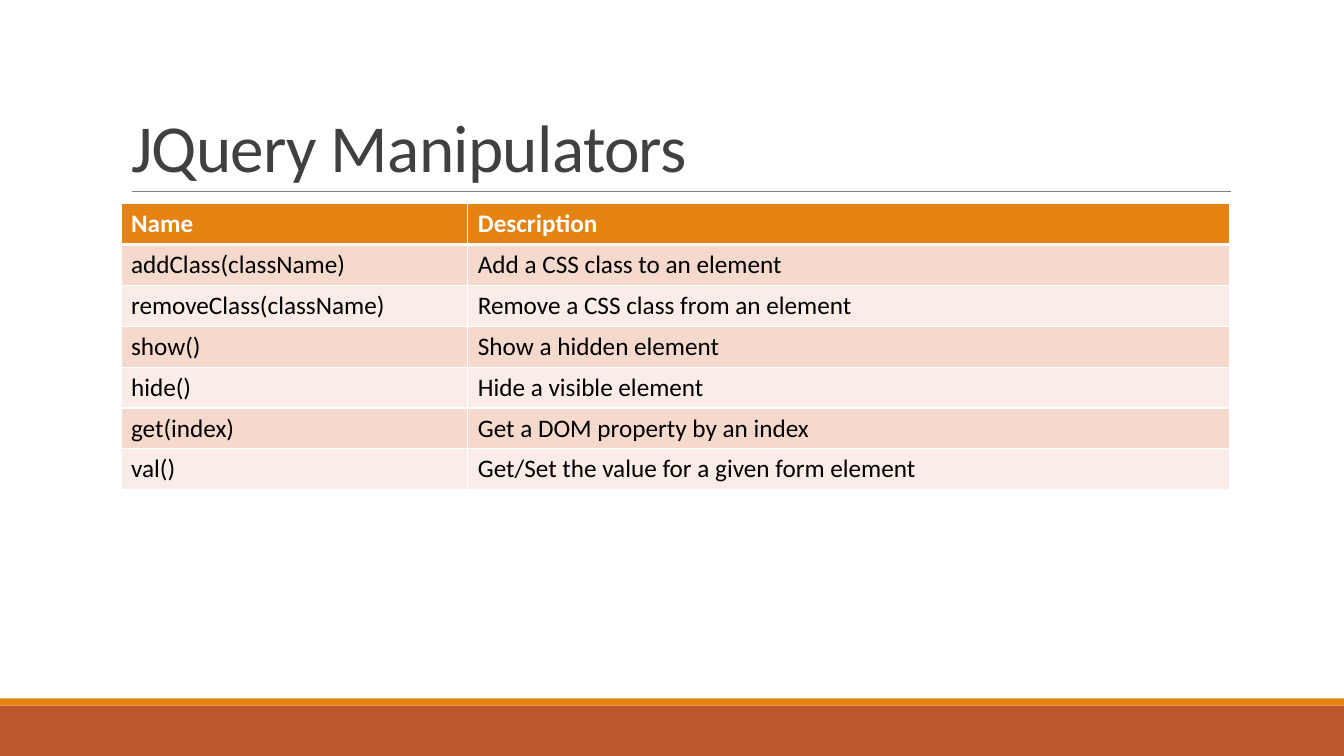
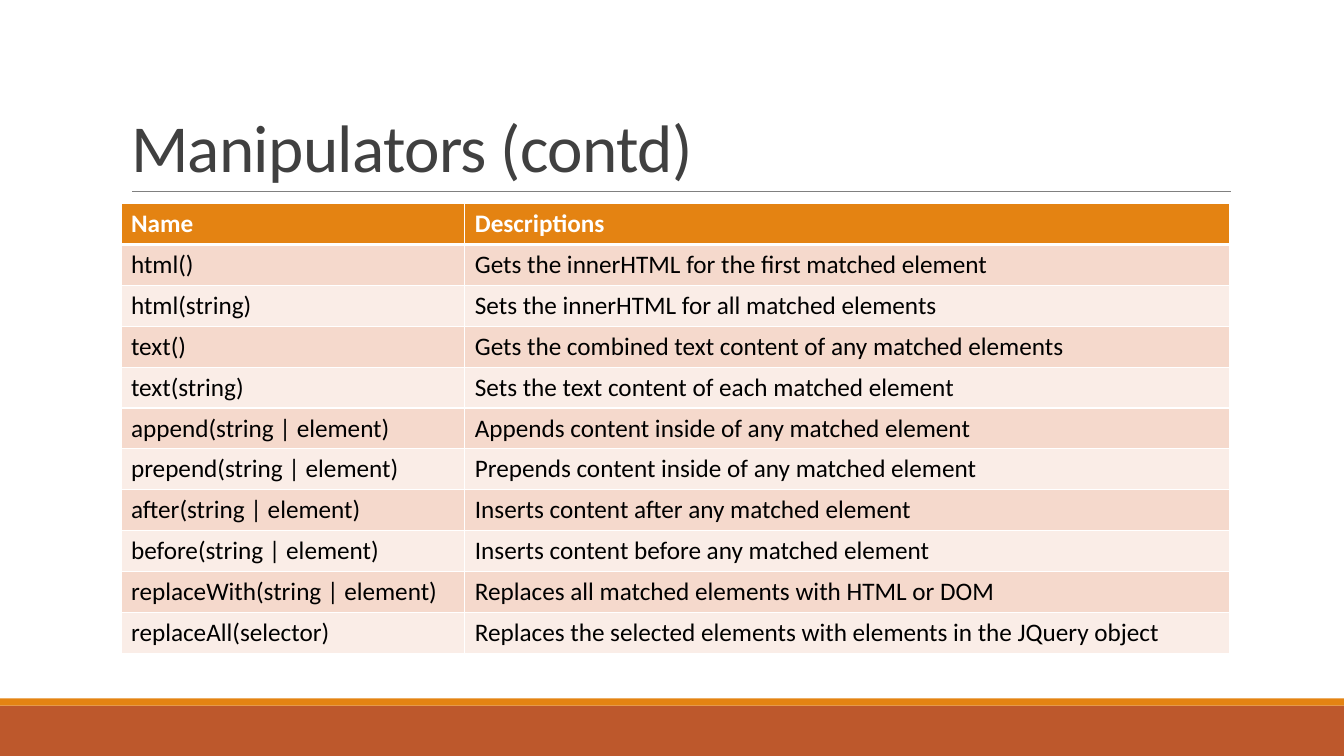
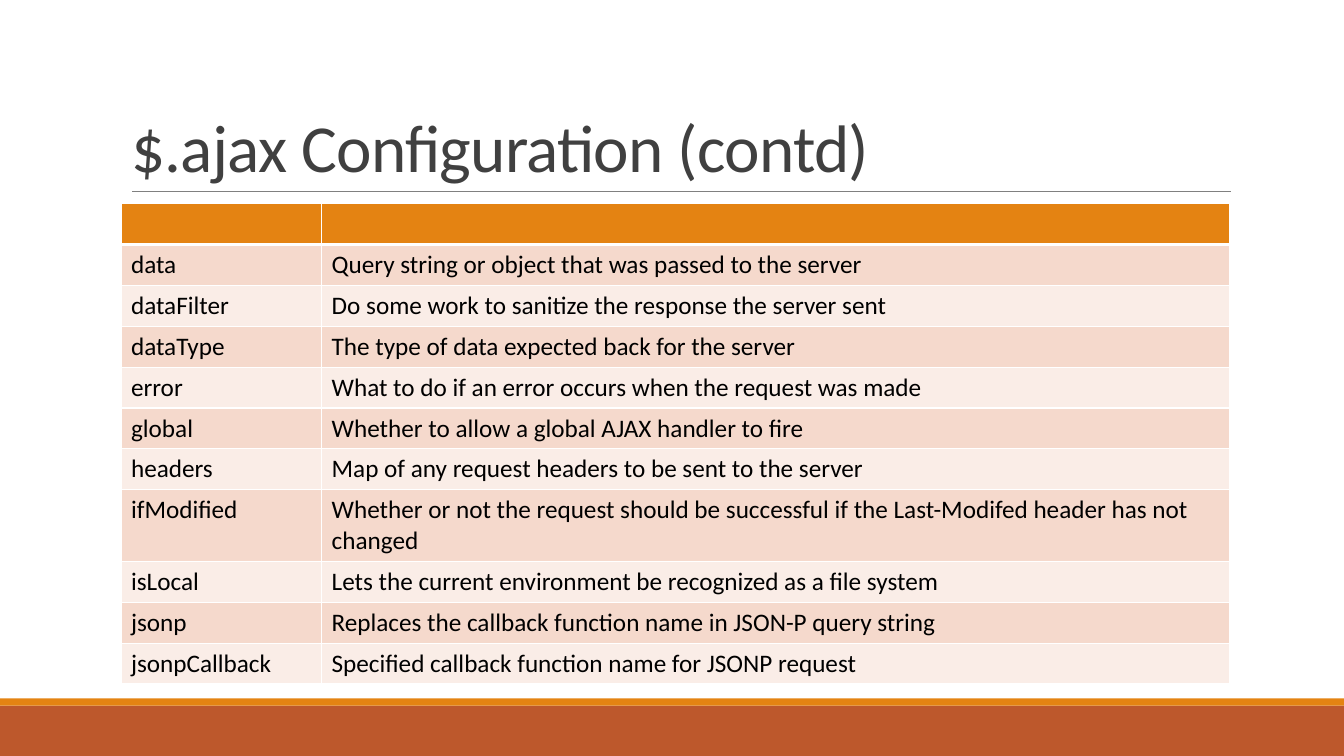
from dataclasses import dataclass

from lxml import etree
from pptx import Presentation
from pptx.dml.color import RGBColor
from pptx.enum.shapes import MSO_CONNECTOR, MSO_SHAPE
from pptx.enum.text import MSO_ANCHOR, MSO_AUTO_SIZE, PP_ALIGN
from pptx.oxml.ns import qn
from pptx.util import Inches, Pt

STRAIGHT = MSO_CONNECTOR.STRAIGHT
RECTANGLE = MSO_SHAPE.RECTANGLE
BOTTOM = MSO_ANCHOR.BOTTOM
NO_AUTOFIT = MSO_AUTO_SIZE.NONE
LEFT = PP_ALIGN.LEFT

# title, name column width in inches, header, rows
SLIDES = [
    ("JQuery Manipulators", 3.44, ("Name", "Description"), [
        ("addClass(className)", "Add a CSS class to an element"),
        ("removeClass(className)", "Remove a CSS class from an element"),
        ("show()", "Show a hidden element"),
        ("hide()", "Hide a visible element"),
        ("get(index)", "Get a DOM property by an index"),
        ("val()", "Get/Set the value for a given form element"),
    ]),
    ("Manipulators (contd)", 3.41, ("Name", "Descriptions"), [
        ("html()", "Gets the innerHTML for the first matched element"),
        ("html(string)", "Sets the innerHTML for all matched elements"),
        ("text()", "Gets the combined text content of any matched elements"),
        ("text(string)", "Sets the text content of each matched element"),
        ("append(string | element)", "Appends content inside of any matched element"),
        ("prepend(string | element)", "Prepends content inside of any matched element"),
        ("after(string | element)", "Inserts content after any matched element"),
        ("before(string | element)", "Inserts content before any matched element"),
        ("replaceWith(string | element)", "Replaces all matched elements with HTML or DOM"),
        ("replaceAll(selector)",
         "Replaces the selected elements with elements in the JQuery object"),
    ]),
    ("$.ajax Configuration (contd)", 1.99, ("", ""), [
        ("data", "Query string or object that was passed to the server"),
        ("dataFilter", "Do some work to sanitize the response the server sent"),
        ("dataType", "The type of data expected back for the server"),
        ("error", "What to do if an error occurs when the request was made"),
        ("global", "Whether to allow a global AJAX handler to fire"),
        ("headers", "Map of any request headers to be sent to the server"),
        ("ifModified", "Whether or not the request should be successful if the "
                       "Last-Modifed header has not changed"),
        ("isLocal", "Lets the current environment be recognized as a file system"),
        ("jsonp", "Replaces the callback function name in JSON-P query string"),
        ("jsonpCallback", "Specified callback function name for JSONP request"),
    ]),
]


@dataclass(frozen=True)
class Theme:
    font: str = "Calibri"
    title_size: int = 48
    table_size: int = 18
    title: str = "404040"
    rule: str = "808080"
    accent: str = "E48312"
    footer: str = "BD582C"
    stripes: tuple = ("F5D9CC", "FAEDE7")
    white: str = "FFFFFF"
    black: str = "000000"


THEME = Theme()
WIDTH, HEIGHT = Inches(13.33), Inches(7.5)
MARGIN, CONTENT_WIDTH = Inches(1.2), Inches(11)
TITLE_TOP, TITLE_HEIGHT = Inches(0.31), Inches(1.59)
RULE_TOP, RULE_LEFT, RULE_RIGHT = Inches(1.9), Inches(1.31), Inches(12.21)
TABLE_TOP, ROW_HEIGHT = Inches(2.02), Pt(29.2)
FOOTER_HEIGHT, ACCENT_HEIGHT = Inches(0.5), Inches(0.07)
THIN, THICK = Pt(1), Pt(3)


def rgb(colour):
    return RGBColor.from_string(colour)


def set_font(para, size, colour, bold=False):
    font = para.font
    font.name, font.size, font.bold = THEME.font, Pt(size), bold
    font.color.rgb = rgb(colour)


def add_band(slide, top, height, colour):
    band = slide.shapes.add_shape(RECTANGLE, 0, top, WIDTH, height)
    band.shadow.inherit = False
    band.fill.solid()
    band.fill.fore_color.rgb = rgb(colour)
    band.line.fill.background()
    return band


def add_rule(slide):
    rule = slide.shapes.add_connector(STRAIGHT, RULE_LEFT, RULE_TOP, RULE_RIGHT, RULE_TOP)
    rule.line.color.rgb = rgb(THEME.rule)
    rule.line.width = Pt(0.5)
    etree.SubElement(rule.element.spPr, qn("a:effectLst"))
    return rule


def decorate_layout(layout, slide):
    """Draw the bands and title rule on a slide, then move them to its layout."""
    footer_top = HEIGHT - FOOTER_HEIGHT
    parts = [
        add_band(slide, footer_top, FOOTER_HEIGHT, THEME.footer),
        add_band(slide, footer_top - ACCENT_HEIGHT, ACCENT_HEIGHT, THEME.accent),
        add_rule(slide),
    ]
    for shape_id, part in enumerate(parts, start=100):
        part.element.xpath(".//p:cNvPr")[0].set("id", str(shape_id))
        layout.shapes.element.append(part.element)


def write_title(slide, text):
    box = slide.shapes.title
    box.left, box.top = MARGIN, TITLE_TOP
    box.width, box.height = CONTENT_WIDTH, TITLE_HEIGHT
    frame = box.text_frame
    frame.text = text
    frame.word_wrap, frame.auto_size = True, NO_AUTOFIT
    frame.vertical_anchor = BOTTOM
    para = frame.paragraphs[0]
    para.alignment, para.line_spacing = LEFT, 0.85
    set_font(para, THEME.title_size, THEME.title)
    para.font._element.set("spc", "-50")


def set_borders(cell, top, bottom):
    properties = cell._tc.get_or_add_tcPr()
    for side, width in (("L", THIN), ("R", THIN), ("T", top), ("B", bottom)):
        line = etree.SubElement(properties, qn(f"a:ln{side}"), w=str(width))
        fill = etree.SubElement(line, qn("a:solidFill"))
        etree.SubElement(fill, qn("a:srgbClr"), val=THEME.white)


def format_cell(cell, text, row):
    is_header = row == 0
    set_borders(cell, THICK if row == 1 else THIN, THICK if is_header else THIN)
    cell.fill.solid()
    cell.fill.fore_color.rgb = rgb(THEME.accent if is_header else THEME.stripes[(row - 1) % 2])
    cell.text = text
    set_font(cell.text_frame.paragraphs[0], THEME.table_size,
             THEME.white if is_header else THEME.black, is_header)


def add_reference_table(slide, name_width, rows):
    table = slide.shapes.add_table(len(rows), 2, MARGIN, TABLE_TOP, CONTENT_WIDTH,
                                   ROW_HEIGHT * len(rows)).table
    table.horz_banding = False
    table.columns[0].width = Inches(name_width)
    table.columns[1].width = CONTENT_WIDTH - Inches(name_width)
    for row, texts in enumerate(rows):
        for column, text in enumerate(texts):
            format_cell(table.cell(row, column), text, row)


def main():
    deck = Presentation()
    deck.slide_width, deck.slide_height = WIDTH, HEIGHT
    layout = deck.slide_layouts.get_by_name("Title Only")
    for title, name_width, header, rows in SLIDES:
        slide = deck.slides.add_slide(layout)
        write_title(slide, title)
        add_reference_table(slide, name_width, [header, *rows])
    decorate_layout(layout, deck.slides[0])
    deck.save("out.pptx")


if __name__ == "__main__":
    main()
